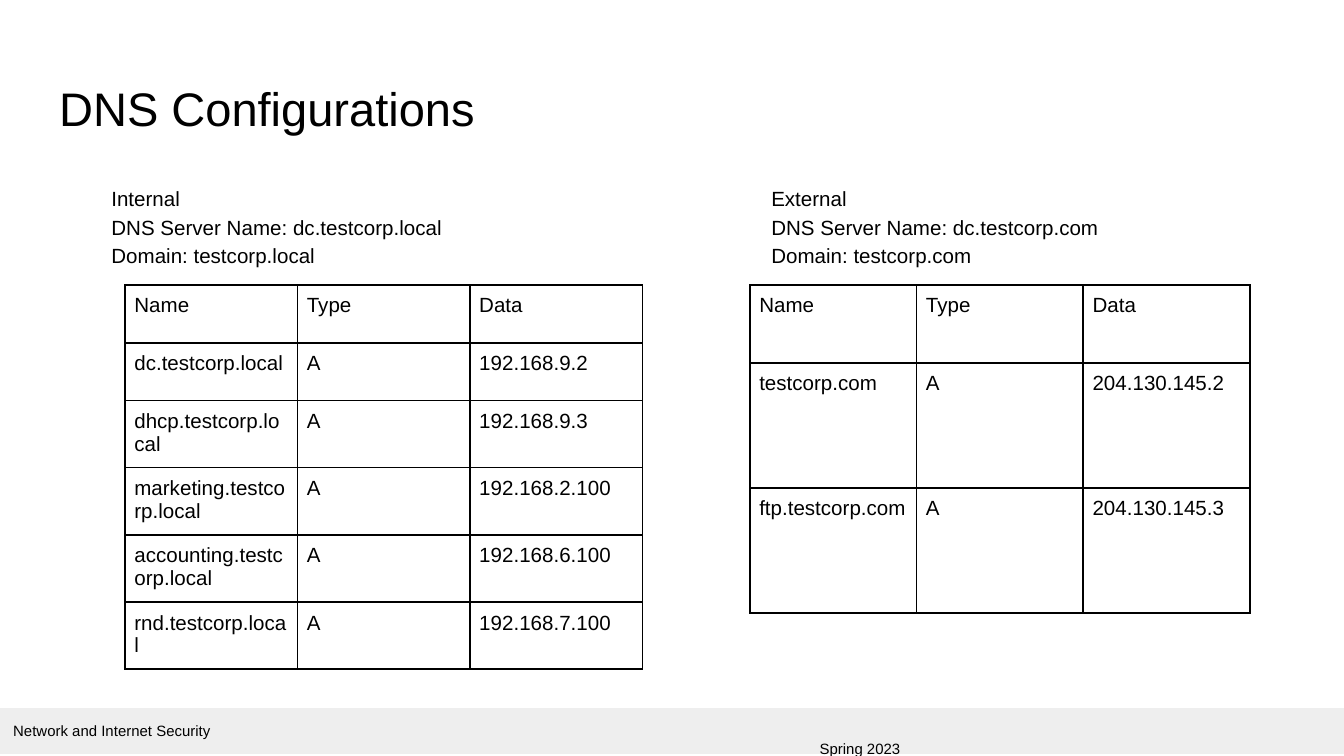
import pptx
import pptx.util
import pptx.dml.color
import pptx.enum.shapes
import pptx.enum.text
import pptx.oxml.ns
from lxml import etree
from pptx.util import Inches

COLORS = {"text": "000000", "border": "000000", "band": "EEEEEE"}
FONT = "Arial"
SIDES = ("left", "right", "top", "bottom")
TITLE = "DNS Configurations"
FOOTER = ("Network and Internet Security", "Spring 2023")
HEADER = ("Name", "Type", "Data")
ZONES = [
    {
        "summary": ["Internal", "DNS Server Name: dc.testcorp.local", "Domain: testcorp.local"],
        "summary_left": 0.73,
        "summary_width": 2.82,
        "table_left": 0.93,
        "table_width": 3.85,
        "row_heights": [0.43] * 2 + [0.5] * 4,
        "records": [
            ("dc.testcorp.local", "A", "192.168.9.2"),
            ("dhcp.testcorp.local", "A", "192.168.9.3"),
            ("marketing.testcorp.local", "A", "192.168.2.100"),
            ("accounting.testcorp.local", "A", "192.168.6.100"),
            ("rnd.testcorp.local", "A", "192.168.7.100"),
        ],
    },
    {
        "summary": ["External", "DNS Server Name: dc.testcorp.com", "Domain: testcorp.com"],
        "summary_left": 5.64,
        "summary_width": 3.05,
        "table_left": 5.58,
        "table_width": 3.72,
        "row_heights": [0.58, 0.93, 0.93],
        "records": [
            ("testcorp.com", "A", "204.130.145.2"),
            ("ftp.testcorp.com", "A", "204.130.145.3"),
        ],
    },
]


def rgb(name):
    return pptx.dml.color.RGBColor.from_string(COLORS[name])


def set_margins(holder, margin):
    for side in SIDES:
        setattr(holder, f"margin_{side}", Inches(margin))


def style(para, size):
    para.alignment = pptx.enum.text.PP_ALIGN.LEFT
    para.font.name = FONT
    para.font.size = pptx.util.Pt(size)
    para.font.color.rgb = rgb("text")


def write(frame, lines, size, spacing=None):
    frame.word_wrap = True
    frame.auto_size = pptx.enum.text.MSO_AUTO_SIZE.NONE
    set_margins(frame, 0.1)
    for index, line in enumerate(lines):
        para = frame.add_paragraph() if index else frame.paragraphs[0]
        para.text = line
        style(para, size)
        para.line_spacing = spacing


def add_borders(cell):
    properties = cell._tc.get_or_add_tcPr()
    qn = pptx.oxml.ns.qn
    for index, side in enumerate(("lnL", "lnR", "lnT", "lnB")):
        line = etree.Element(qn(f"a:{side}"), w=str(pptx.util.Pt(1)))
        fill = etree.SubElement(line, qn("a:solidFill"))
        etree.SubElement(fill, qn("a:srgbClr"), val=COLORS["border"])
        properties.insert(index, line)


def add_records(page, zone):
    rows = [HEADER] + zone["records"]
    heights = zone["row_heights"]
    table = page.shapes.add_table(
        len(rows), len(HEADER), Inches(zone["table_left"]), Inches(2.12),
        Inches(zone["table_width"]), Inches(sum(heights)),
    ).table
    table.first_row = False
    table.horz_banding = False
    for row, height, values in zip(table.rows, heights, rows):
        row.height = Inches(height)
        for cell, value in zip(row.cells, values):
            cell.text = value
            set_margins(cell, 0.07)
            style(cell.text_frame.paragraphs[0], 11)
            cell.fill.background()
            add_borders(cell)


def add_footer(page):
    band = page.shapes.add_shape(
        pptx.enum.shapes.MSO_SHAPE.RECTANGLE, 0, Inches(5.27), Inches(10), Inches(0.34)
    )
    band.shadow.inherit = False
    band.fill.solid()
    band.fill.fore_color.rgb = rgb("band")
    band.line.fill.background()
    write(band.text_frame, ["\v".join(FOOTER)], 8)
    band.text_frame.vertical_anchor = pptx.enum.text.MSO_ANCHOR.TOP
    properties = band.text_frame.paragraphs[0]._p.get_or_add_pPr()
    properties.set("marL", str(Inches(6)))
    properties.set("indent", str(-Inches(6)))


def main():
    deck = pptx.Presentation()
    deck.slide_width = Inches(10)
    deck.slide_height = deck.slide_width * 9 // 16
    page = deck.slides.add_slide(deck.slide_layouts[5])
    add_footer(page)
    title = page.shapes.title
    title.left, title.top = Inches(0.34), Inches(0.49)
    title.width, title.height = Inches(9.32), Inches(0.63)
    write(title.text_frame, [TITLE], 25.2)
    title.text_frame.vertical_anchor = pptx.enum.text.MSO_ANCHOR.MIDDLE
    for zone in ZONES:
        box = page.shapes.add_textbox(
            Inches(zone["summary_left"]), Inches(1.26), Inches(zone["summary_width"]), Inches(3.74)
        )
        write(box.text_frame, zone["summary"], 11, 1.15)
        add_records(page, zone)
    deck.save("out.pptx")


if __name__ == "__main__":
    main()
